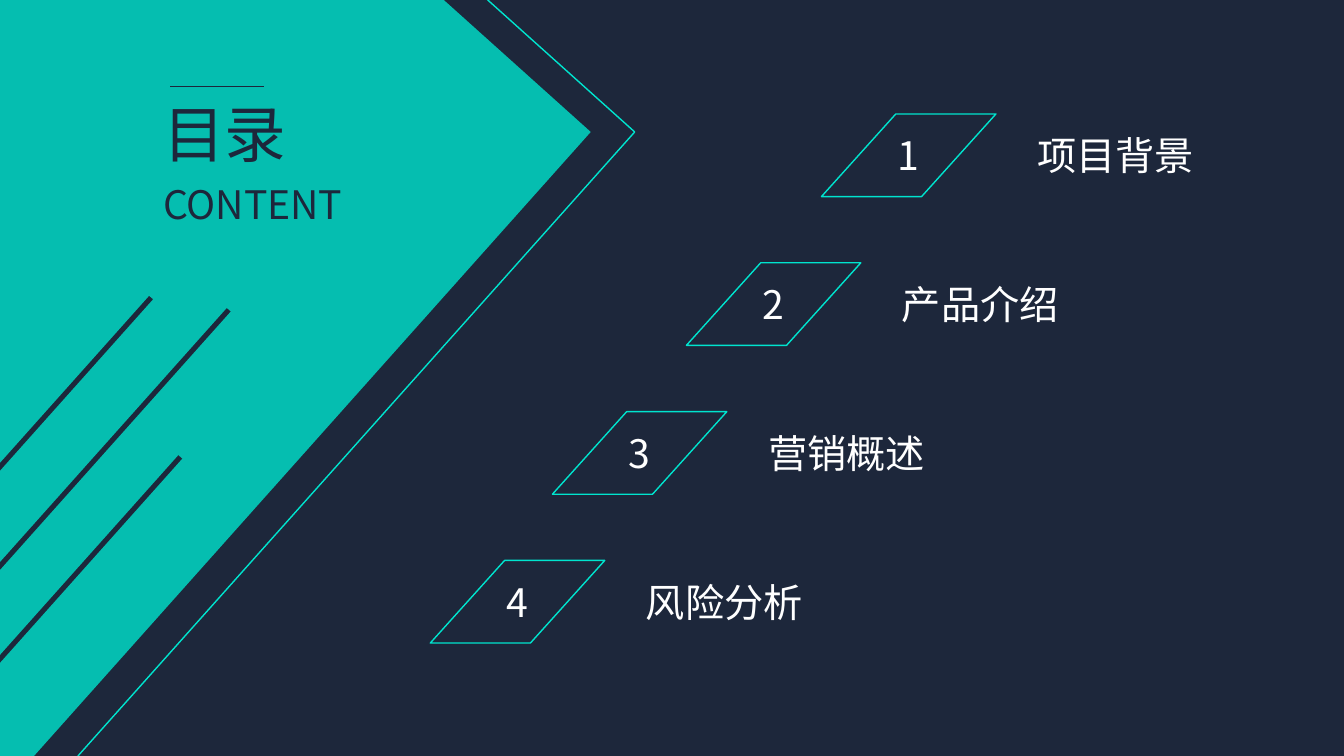
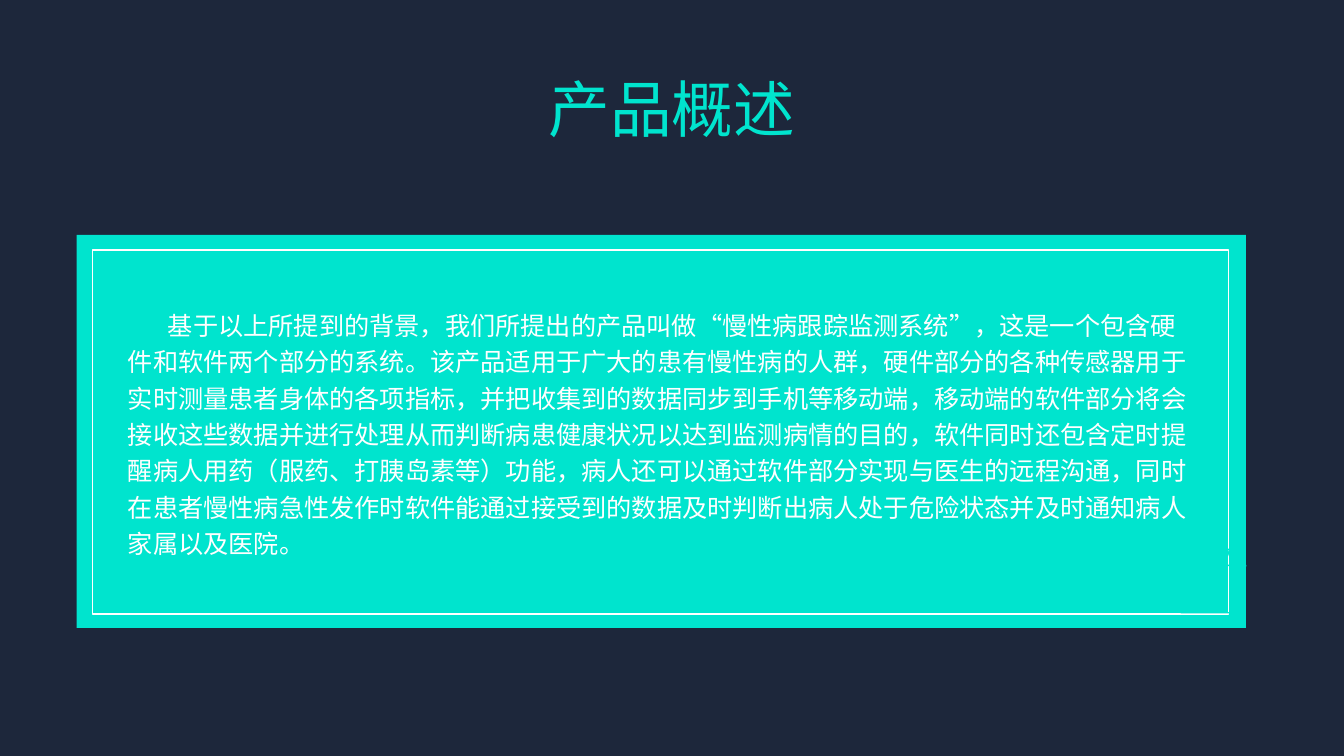
from dataclasses import dataclass

from lxml.etree import SubElement
from pptx import Presentation
from pptx.dml.color import RGBColor
from pptx.enum.shapes import MSO_CONNECTOR, MSO_SHAPE
from pptx.enum.text import MSO_ANCHOR, MSO_AUTO_SIZE, PP_ALIGN
from pptx.oxml.ns import qn
from pptx.util import Pt


@dataclass(frozen=True)
class Theme:
    navy: RGBColor = RGBColor(0x1D, 0x27, 0x3B)
    teal: RGBColor = RGBColor(0x00, 0xE4, 0xCE)
    white: RGBColor = RGBColor(0xFF, 0xFF, 0xFF)
    font: str = "Noto Sans CJK SC"
    title: int = 44
    label: int = 28
    body: int = 18
    line: float = 1
    hairline: float = 0.5


T = Theme()
WIDTH, HEIGHT = 960, 540

AGENDA = [("项目背景", 586.8), ("产品介绍", 490.3),
          ("营销概述", 394.6), ("风险分析", 307.4)]
OVERVIEW = (
    "基于以上所提到的背景，我们所提出的产品叫做“慢性病跟踪监测系统”，"
    "这是一个包含硬件和软件两个部分的系统。该产品适用于广大的患有慢性病的人群，"
    "硬件部分的各种传感器用于实时测量患者身体的各项指标，"
    "并把收集到的数据同步到手机等移动端，"
    "移动端的软件部分将会接收这些数据并进行处理从而判断病患健康状况"
    "以达到监测病情的目的，软件同时还包含定时提醒病人用药"
    "（服药、打胰岛素等）功能，病人还可以通过软件部分实现与医生的远程沟通，"
    "同时在患者慢性病急性发作时软件能通过接受到的数据及时判断出"
    "病人处于危险状态并及时通知病人家属以及医院。")


# Text
def write(shape, text, size, color, align=PP_ALIGN.LEFT, wrap=True):
    tf = shape.text_frame
    tf.text = text
    tf.word_wrap = wrap
    tf.auto_size = MSO_AUTO_SIZE.NONE
    tf.vertical_anchor = MSO_ANCHOR.MIDDLE
    p = tf.paragraphs[0]
    p.alignment = align
    for r in p.runs:
        r.font.size = Pt(size)
        r.font.color.rgb = color
        r.font.name = T.font
        SubElement(r.font._element, qn("a:ea"), typeface=T.font)
    return p


def add_label(s, box, text, color):
    return write(s.shapes.add_textbox(*map(Pt, box)), text, T.label, color)


def fill_placeholder(shape, box, *text_args):
    shape.left, shape.top, shape.width, shape.height = map(Pt, box)
    tree = shape.element.getparent()
    tree.append(shape.element)  # bring in front of the decoration
    return write(shape, *text_args)


# Shapes
def paint(shape, fill=None, line=None):
    shape.shadow.inherit = False
    if fill is None:
        shape.fill.background()
    else:
        shape.fill.solid()
        shape.fill.fore_color.rgb = fill
    if line is None:
        shape.line.fill.background()
    else:
        shape.line.color.rgb = line
        shape.line.width = Pt(T.line)
    return shape


def add_box(s, box, fill=None, line=None, kind=MSO_SHAPE.RECTANGLE):
    return paint(s.shapes.add_shape(kind, *map(Pt, box)), fill, line)


def add_parallelogram(s, box, slant):
    shape = add_box(s, box, line=T.teal, kind=MSO_SHAPE.PARALLELOGRAM)
    shape.adjustments[0] = slant
    return shape


def add_outline(s, points, close, fill=None, line=None):
    points = [(Pt(x), Pt(y)) for x, y in points]
    fb = s.shapes.build_freeform(*points[0])
    fb.add_line_segments(points[1:], close=close)
    return paint(fb.convert_to_shape(), fill, line)


def add_rule(s, x1, x2, y):
    rule = s.shapes.add_connector(MSO_CONNECTOR.STRAIGHT,
                                  Pt(x1), Pt(y), Pt(x2), Pt(y))
    rule.line.color.rgb = T.navy
    rule.line.width = Pt(T.hairline)
    SubElement(rule._element.spPr, qn("a:effectLst"))


def slot(x, y, slope=1.12, dx=2.9, dy=2.5):
    """Slanted notch running from the left slide edge up to (x, y)."""
    return [(0, y + x * slope), (x, y),
            (x - dx, y - dy), (0, y - dy + (x - dx) * slope)]


# Slides
def agenda_slide(prs):
    s = prs.slides.add_slide(prs.slide_layouts[5])

    # Slotted arrow panel and its offset edge
    edge = [(317, 0), (422, 94.3), (24.3, HEIGHT)]
    slots = [pt for tip in [(130.3, 327.6), (164.9, 222.5), (109.4, 213.8)]
             for pt in slot(*tip)]
    panel = add_outline(s, [(0, 0), *edge, (0, HEIGHT), *slots], True, T.teal)
    color = panel.fill._xPr.find(qn("a:solidFill"))[0]
    SubElement(color, qn("a:alpha"), val="80000")
    add_outline(s, [(x + 31.4, y) for x, y in edge], False, line=T.teal)

    # Heading
    add_rule(s, 121.7, 188.6, 61.9)
    fill_placeholder(s.shapes.title, (109.4, 64.8, 162.7, 60.5),
                     "目录", T.title, T.navy)
    add_label(s, (109.4, 125.3, 162.7, 41), "CONTENT", T.navy)

    # Numbered entries
    for i, (text, left) in enumerate(AGENDA):
        top = 81.4 + i * 106.3
        frame = add_parallelogram(s, (left, top, 124.6, 59), 0.9)
        write(frame, str(i + 1), T.label, T.white, PP_ALIGN.CENTER, False)
        add_label(s, (left + 146.9, top, 220, 59), text, T.white)


def overview_slide(prs):
    s = prs.slides.add_slide(prs.slide_layouts[1])

    # Panel with inner frame
    add_box(s, (54.7, 167.8, 835.2, 280.8), fill=T.teal)
    add_box(s, (66.2, 178.6, 811.4, 259.9), line=T.white)

    # Title and text
    fill_placeholder(s.shapes.title, (303.1, 46.8, 353.5, 60.5),
                     "产品概述", T.title, T.teal, PP_ALIGN.CENTER)
    p = fill_placeholder(s.placeholders[1], (84.2, 213.1, 776.9, 190.1),
                         OVERVIEW, T.body, T.white)
    p.line_spacing = 1.2
    p.space_before = Pt(0)
    pPr = p._p.get_or_add_pPr()
    pPr.set("marL", "0")
    pPr.set("indent", str(Pt(28.5)))
    SubElement(pPr, qn("a:buNone"))

    # Corner accents
    for shift in (0, 11.5):
        add_parallelogram(s, (832.3 + shift, 392.4 + shift, 46.1, 33.8), 0.34)


def main():
    prs = Presentation()
    prs.slide_width, prs.slide_height = Pt(WIDTH), Pt(HEIGHT)
    background = prs.slide_master.background.fill
    background.solid()
    background.fore_color.rgb = T.navy
    agenda_slide(prs)
    overview_slide(prs)
    prs.save("out.pptx")


if __name__ == "__main__":
    main()
